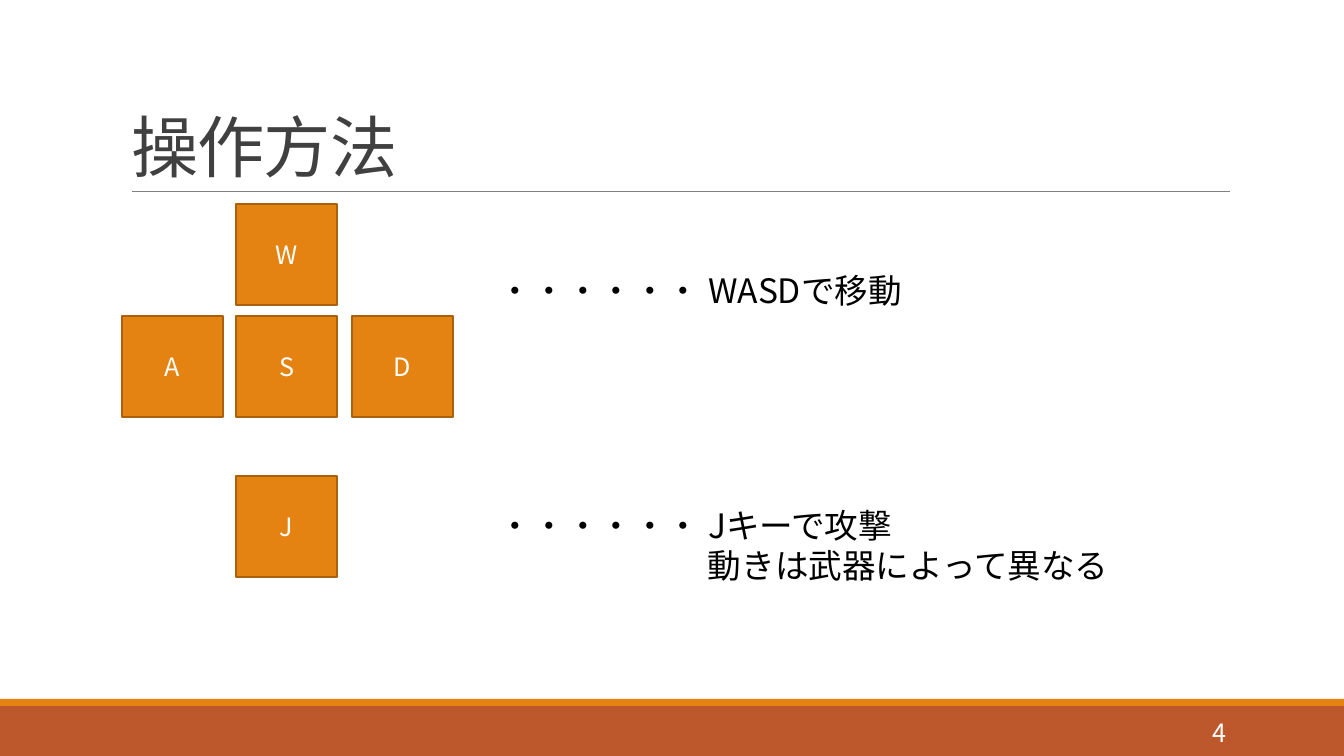
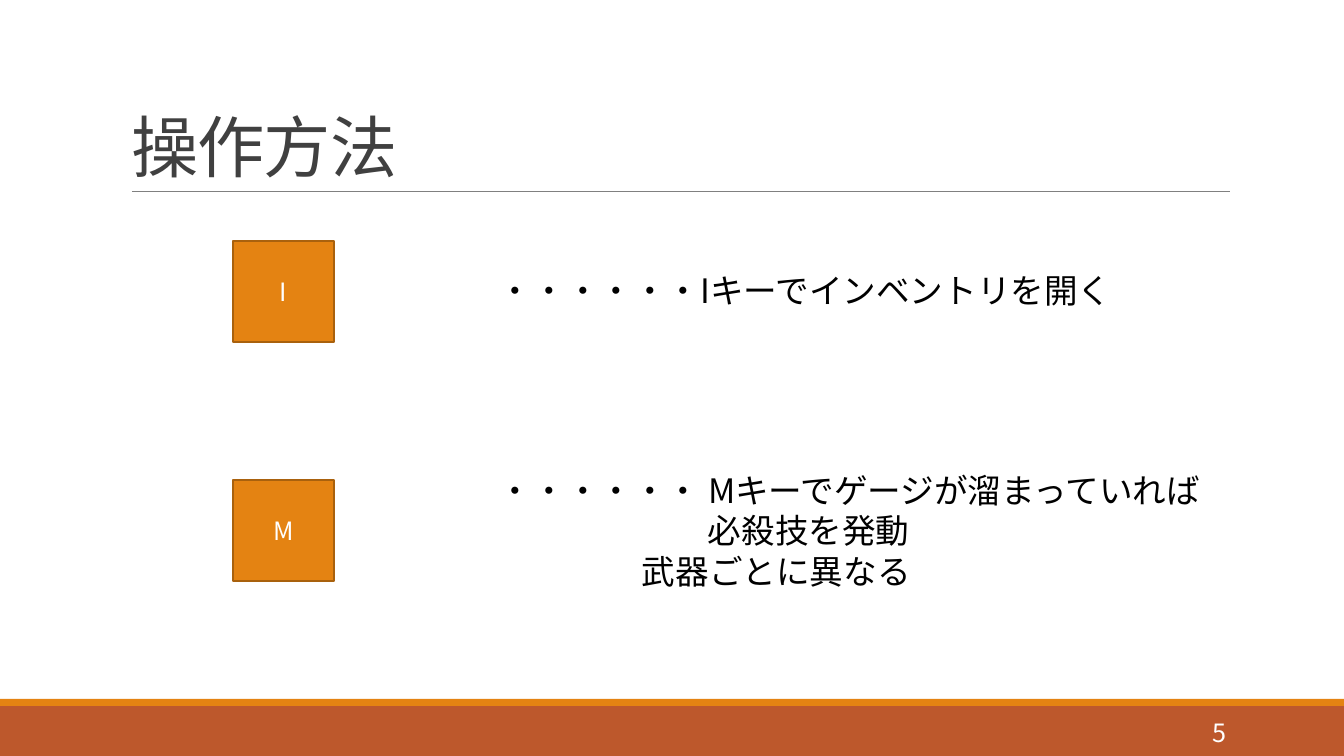
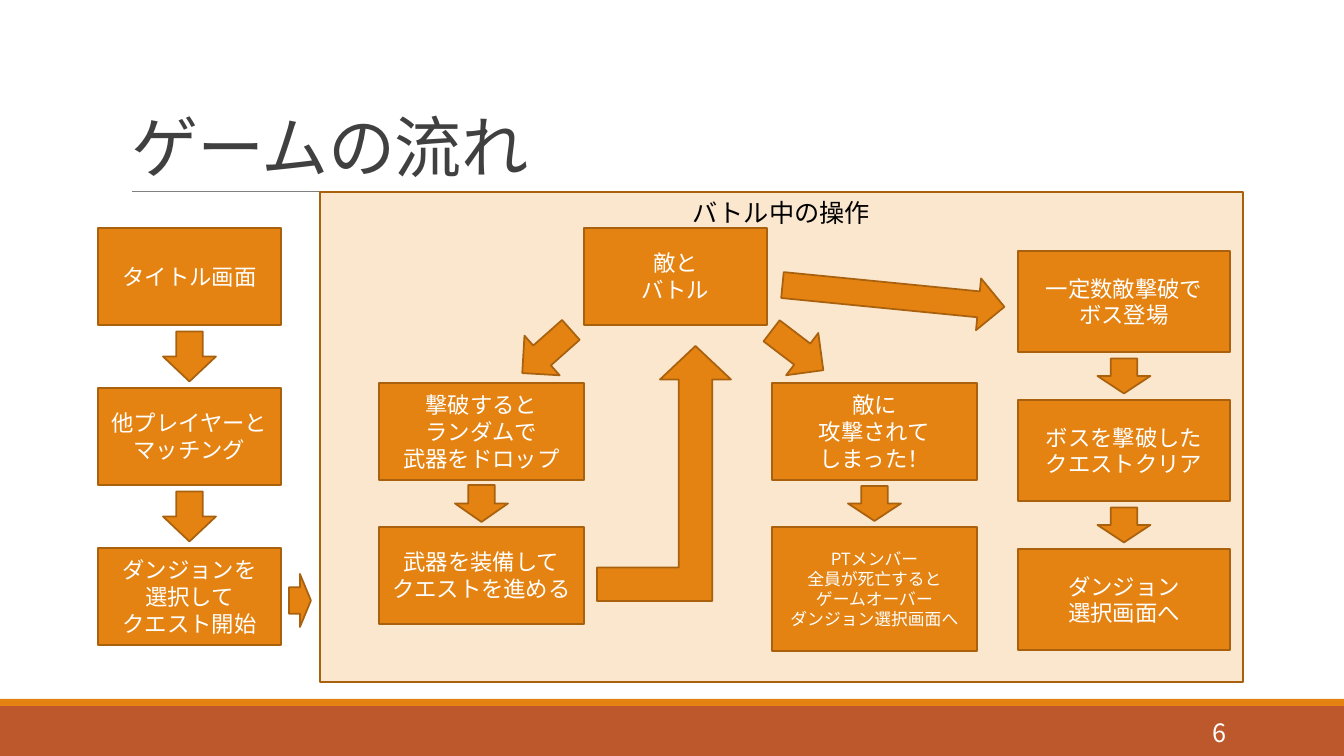
from lxml.etree import SubElement
from pptx import Presentation
from pptx.dml.color import RGBColor
from pptx.enum.shapes import MSO_CONNECTOR as CONN, MSO_SHAPE as SHAPE
from pptx.enum.text import MSO_ANCHOR as ANCHOR, MSO_AUTO_SIZE as AUTO, PP_ALIGN as ALIGN
from pptx.oxml.ns import qn
from pptx.util import Emu, Pt

FONT = "Noto Sans CJK JP"
ORANGE = RGBColor(0xE4, 0x83, 0x12)
RUST = RGBColor(0xBD, 0x58, 0x2C)
EDGE = RGBColor(0xA9, 0x61, 0x0D)
CREAM = RGBColor(0xFB, 0xE6, 0xCE)
GRAY = RGBColor(0x80, 0x80, 0x80)
DARK = RGBColor(0x40, 0x40, 0x40)
BLACK = RGBColor(0, 0, 0)
WHITE = RGBColor(0xFF, 0xFF, 0xFF)

EMU_PER_PX = 914400 / 100.8
WIDTH, HEIGHT = 1344, 756
KEY = 101          # side of a key cap
TEXT_X = 489       # left edge of the explanations
LEADER = "・・・・・・"


def px(n):
    return Emu(round(n * EMU_PER_PX))


def emus(box):
    return [px(n) for n in box]


def set_text(sp, lines, size, color, align=ALIGN.LEFT, anchor=ANCHOR.TOP, indents=()):
    """Write one paragraph per line; indents are px from the left inset."""
    tf = sp.text_frame
    frame = {"word_wrap": True, "auto_size": AUTO.NONE, "vertical_anchor": anchor}
    for name, value in frame.items():
        setattr(tf, name, value)
    for i, line in enumerate(lines):
        p = tf.paragraphs[0] if i == 0 else tf.add_paragraph()
        p.alignment = align
        if i < len(indents) and indents[i]:
            pPr = p._p.get_or_add_pPr()
            pPr.set("marL", str(px(indents[i])))
            pPr.set("indent", "0")
        r = p.add_run()
        r.text = line
        for name, value in {"name": FONT, "size": Pt(size)}.items():
            setattr(r.font, name, value)
        r.font.color.rgb = color
        SubElement(r._r.get_or_add_rPr(), qn("a:ea")).set("typeface", FONT)


def add_shape(slide, kind, box, fill=ORANGE, line=EDGE, rotation=0):
    sp = slide.shapes.add_shape(kind, *emus(box))
    sp.shadow.inherit = False
    sp.rotation = rotation
    sp.fill.solid()
    sp.fill.fore_color.rgb = fill
    if line is None:
        sp.line.fill.background()
    else:
        sp.line.color.rgb = line
        sp.line.width = Pt(1.25)
    return sp


def add_node(slide, box, lines, size=16):
    sp = add_shape(slide, SHAPE.RECTANGLE, box)
    set_text(sp, lines, size, WHITE, ALIGN.CENTER, ANCHOR.MIDDLE)
    return sp


def add_textbox(slide, box, lines, size, color, **style):
    sp = slide.shapes.add_textbox(*emus(box))
    set_text(sp, lines, size, color, **style)


# Shared layout: title place, footer bands and title rule
def style_layout(layout, slide):
    """Draw the shared parts on a slide, then move them to its layout."""
    title = layout.placeholders[0]
    title.left, title.top, title.width, title.height = emus((121, 31, 1109, 160))
    parts = [add_shape(slide, SHAPE.RECTANGLE, (0, y, WIDTH, h), fill, None)
             for y, h, fill in ((706, 50, RUST), (699, 7, ORANGE))]
    rule = slide.shapes.add_connector(CONN.STRAIGHT, *emus((132, 191.5, 1230, 191.5)))
    rule.line.color.rgb = GRAY
    rule.line.width = Pt(0.5)
    SubElement(rule.element.spPr, qn("a:effectLst"))
    for part in parts + [rule]:
        layout.shapes.element.append(part.element)


def new_slide(prs, layout, title, number):
    slide = prs.slides.add_slide(layout)
    sp = slide.shapes.title
    set_text(sp, [title], 48, DARK, anchor=ANCHOR.BOTTOM)
    p = sp.text_frame.paragraphs[0]
    p.line_spacing = 0.85
    p.runs[0]._r.get_or_add_rPr().set("spc", "-50")
    add_textbox(slide, (1092, 712, 144, 40), [str(number)], 18, WHITE,
                align=ALIGN.RIGHT, anchor=ANCHOR.MIDDLE)
    return slide


# Key caps and their explanations
def add_key(slide, x, y, letter):
    add_node(slide, (x, y, KEY, KEY), [letter], 18)


def move_keys(slide, x, y):
    for dx, dy, letter in ((114, 0, "W"), (114, 112, "S"), (0, 112, "A"), (230, 112, "D")):
        add_key(slide, x + dx, y + dy, letter)


def explain(slide, y, width, height, lines, indents=()):
    add_textbox(slide, (TEXT_X, y, width, height), lines, 24, BLACK, indents=indents)


def build_move_attack(slide):
    move_keys(slide, 122, 204)
    explain(slide, 265, 440, 50, [LEADER + " WASDで移動"])
    explain(slide, 500, 642, 92,
            [LEADER + " Jキーで攻撃", "動きは武器によって異なる"], (0, 209))
    add_key(slide, 236, 476, "J")


def build_inventory_special(slide):
    explain(slide, 265, 645, 50, [LEADER + "Iキーでインベントリを開く"])
    explain(slide, 465, 739, 132,
            [LEADER + " Mキーでゲージが溜まっていれば", "必殺技を発動", "武器ごとに異なる"],
            (0, 209, 143))
    add_key(slide, 233, 241, "I")
    add_key(slide, 233, 480, "M")


# Game flow
def flow_column(slide, x, y, width, gap, arrow_len, steps):
    """Stack nodes downwards with an arrow centred in each gap."""
    for i, (height, size, lines) in enumerate(steps):
        if i:
            add_shape(slide, SHAPE.DOWN_ARROW,
                      (x + (width - 53) / 2, y - (gap + arrow_len) / 2, 53, arrow_len))
        add_node(slide, (x, y, width, height), lines, size)
        y += height + gap


def battle_panel(slide, x, y, width, height):
    panel = add_shape(slide, SHAPE.RECTANGLE, (x, y, width, height), CREAM)
    set_text(panel, ["バトル中の操作"], 18, BLACK, ALIGN.CENTER)
    add_node(slide, (x + 264, y + 36, 183, 97), ["敵と", "バトル"])
    flow_column(slide, x + 59, y + 191, 205, 47, 37, [
        (97, 16, ["撃破すると", "ランダムで", "武器をドロップ"]),
        (97, 16, ["武器を装備して", "クエストを進める"])])
    flow_column(slide, x + 452, y + 191, 205, 47, 35, [
        (97, 16, ["敵に", "攻撃されて", "しまった！"]),
        (124, 12, ["PTメンバー", "全員が死亡すると", "ゲームオーバー", "ダンジョン選択画面へ"])])
    flow_column(slide, x + 698, y + 59, 212, 48, 35, [
        (101, 16, ["一定数敵撃破で", "ボス登場"]),
        (101, 16, ["ボスを撃破した", "クエストクリア"]),
        (101, 16, ["ダンジョン", "選択画面へ"])])
    # Branches out of the battle node
    for dx, dy, w, h, angle in ((194, 133, 65, 53, 138.4), (445, 132, 65, 53, 37.3),
                                (462, 78, 223, 52, 5.6)):
        add_shape(slide, SHAPE.RIGHT_ARROW, (x + dx, y + dy, w, h), rotation=angle)
    # Loop back to the battle
    loop = add_shape(slide, SHAPE.BENT_UP_ARROW, (x + 277, y + 154, 134, 255))
    for i, value in enumerate((0.25, 0.265, 0.25)):
        loop.adjustments[i] = value


def build_game_flow(slide):
    flow_column(slide, 98, 228, 183, 63, 50, [
        (97, 16, ["タイトル画面"]),
        (97, 16, ["他プレイヤーと", "マッチング"]),
        (97, 16, ["ダンジョンを", "選択して", "クエスト開始"])])
    add_shape(slide, SHAPE.RIGHT_ARROW, (289, 574, 22, 53))
    battle_panel(slide, 320, 192, 923, 490)


def main():
    prs = Presentation()
    prs.slide_width, prs.slide_height = px(WIDTH), px(HEIGHT)
    layout = prs.slide_layouts[5]
    pages = (("操作方法", build_move_attack),
             ("操作方法", build_inventory_special),
             ("ゲームの流れ", build_game_flow))
    for number, (title, build) in enumerate(pages, start=4):
        slide = new_slide(prs, layout, title, number)
        if number == 4:
            style_layout(layout, slide)
        build(slide)
    prs.save("out.pptx")


if __name__ == "__main__":
    main()
